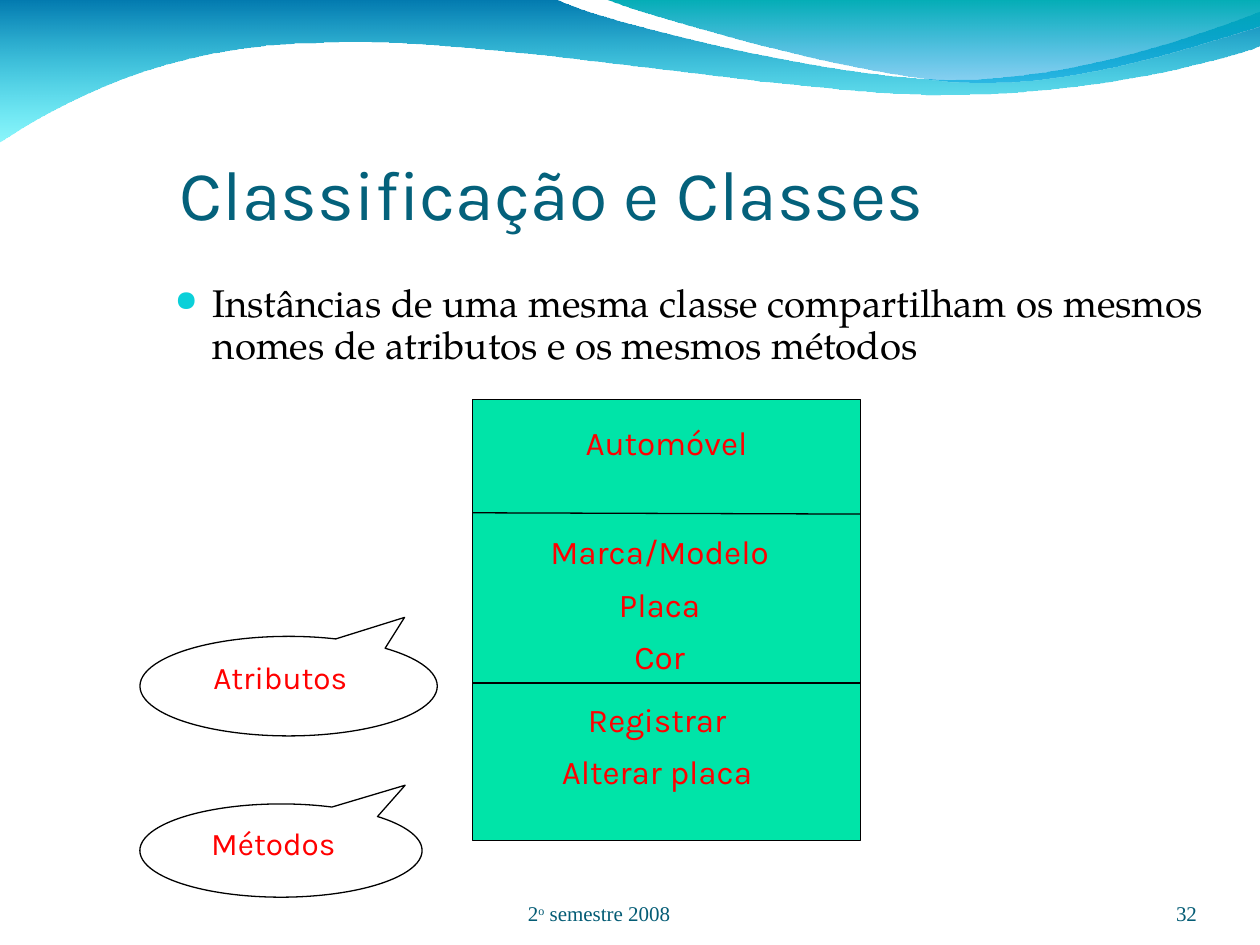
from lxml import etree
from pptx import Presentation
from pptx.dml.color import RGBColor
from pptx.enum.shapes import MSO_CONNECTOR as Connector, MSO_SHAPE as Shape
from pptx.enum.text import MSO_ANCHOR as Anchor, MSO_AUTO_SIZE as AutoSize, PP_ALIGN as Align
from pptx.oxml.ns import qn
from pptx.util import Inches, Pt

TITLE = "Classificação e Classes"
STATEMENT = ("Instâncias de uma mesma classe compartilham os mesmos "
             "nomes de atributos e os mesmos métodos")
FOOTER = [("2", 0), ("o", 30000), (" semestre 2008", 0)]
PAGE = "32"
CLASS_BOX = (3.75, 3.17, 3.08, 3.5)
DIVIDERS = [(4.07, 4.08), (5.42, 5.42)]
ROW_HEIGHT = 5 / 12
COMPARTMENTS = [
    (4.26, 3.3, 2.06, ["Automóvel"]),
    (3.95, 4.17, 2.57, ["Marca/Modelo", "Placa", "Cor"]),
    (3.93, 5.5, 2.57, ["Registrar", "Alterar placa"]),
]
CALLOUTS = [
    ("Métodos", (1.11, 6.38, 2.24, 0.74), (-0.44, 0.7), (1.51, 6.49, 1.32, 0.4), True),
    ("Atributos", (1.11, 5.05, 2.36, 0.79), (-0.39, 0.69), (1.53, 5.17, 1.39, 0.4), False),
]
WAVES = [
    ("0079AF", "00EBF8", (0, -0.01), [
        [(4.4, -0.01)],
        [(4.76, 0.17), (6.64, 0.63), (7.58, 0.63)],
        [(8.53, 0.63), (9.58, 0.26), (10, 0.09)],
        [(10.01, 0.36)],
        [(9.83, 0.44), (8.7, 0.76), (7.46, 0.75)],
        [(6.22, 0.75), (3.82, 0.28), (2.57, 0.34)],
        [(1.29, 0.35), (0.46, 0.83), (-0.01, 1.13)],
    ]),
    ("00ADB6", "009BE5", (4.79, -0.01), [
        [(5.09, 0.11), (6.82, 0.62), (7.69, 0.65)],
        [(8.56, 0.69), (9.61, 0.32), (10, 0.21)],
        [(10, 0)],
    ]),
]

prs = Presentation()
prs.slide_width, prs.slide_height = Inches(10), Inches(7.5)
slide = prs.slides.add_slide(prs.slide_layouts[6])
shapes = slide.shapes


def color(hex_code):
    return RGBColor.from_string(hex_code)


def inches(values):
    return [Inches(value) for value in values]


def outline(shape):
    shape.line.color.rgb = color("000000")
    shape.line.width = Pt(0.75)


def add_bullet(paragraph, hex_code, indent):
    props = paragraph._p.get_or_add_pPr()
    props.set("marL", str(Inches(indent)))
    props.set("indent", str(-Inches(indent)))
    bullet_color = etree.SubElement(props, qn("a:buClr"))
    etree.SubElement(bullet_color, qn("a:srgbClr"), val=hex_code)
    etree.SubElement(props, qn("a:buSzPct"), val="75000")
    etree.SubElement(props, qn("a:buChar"), char="●")


def add_text(text, box, size=19, font="Karla", ink="FF0000", align=Align.CENTER,
             anchor=Anchor.TOP, margins=(0.1, 0.05), bullet=None, spacing=None, grow=False):
    textbox = shapes.add_textbox(*inches(box))
    frame = textbox.text_frame
    frame.word_wrap = True
    frame.vertical_anchor = anchor
    frame.margin_left = frame.margin_right = Inches(margins[0])
    frame.margin_top = frame.margin_bottom = Inches(margins[1])
    if grow:
        frame.auto_size = AutoSize.SHAPE_TO_FIT_TEXT
    paragraph = frame.paragraphs[0]
    paragraph.alignment = align
    if spacing:
        paragraph.line_spacing = spacing
    if bullet:
        add_bullet(paragraph, bullet, 0.3)
    for content, baseline in [(text, 0)] if isinstance(text, str) else text:
        run = paragraph.add_run()
        run.text = content
        run.font.size = Pt(size)
        run.font.name = font
        run.font.color.rgb = color(ink)
        if baseline:
            run.font._element.set("baseline", str(baseline))
    return textbox


def bend(outline_shape, segments):
    corners = iter(outline_shape._element.findall(".//" + qn("a:lnTo")))
    for segment in segments:
        steps = [next(corners) for _ in segment]
        if len(segment) == 3:
            steps[0].tag = qn("a:cubicBezTo")
            for step in steps[1:]:
                steps[0].append(step[0])
                step.getparent().remove(step)


def curved_outline(start, segments):
    builder = shapes.build_freeform(*inches(start))
    builder.add_line_segments([inches(point) for segment in segments for point in segment])
    shape = builder.convert_to_shape()
    drawn = shape._element.find(".//" + qn("a:pathLst"))[0]
    points = list(drawn)
    for segment in segments:
        pass
    return shape


def add_wave(top, bottom, start, segments):
    builder = shapes.build_freeform(*inches(start))
    builder.add_line_segments([inches(point) for segment in segments for point in segment])
    wave = builder.convert_to_shape()
    bend(wave, segments)
    wave.shadow.inherit = False
    wave.line.fill.background()
    wave.fill.gradient()
    wave.fill.gradient_angle = 270
    for stop, hex_code, position in zip(wave.fill.gradient_stops, (top, bottom), (0, 1)):
        stop.color.rgb = color(hex_code)
        stop.position = position
    last_color = wave._element.spPr.findall(".//" + qn("a:srgbClr"))[-1]
    etree.SubElement(last_color, qn("a:alpha"), val="45000")


def add_outlined(kind, box, fill):
    shape = shapes.add_shape(kind, *inches(box))
    shape.shadow.inherit = False
    shape.fill.solid()
    shape.fill.fore_color.rgb = color(fill)
    outline(shape)
    return shape


for wave_parts in WAVES:
    add_wave(*wave_parts)

add_text(STATEMENT, (1.29, 2.21, 8.5, 1.17), size=22, font="TeX Gyre Pagella",
         ink="000000", align=Align.LEFT, bullet="0BD0D9", spacing=0.9)
for text, box, align in [(FOOTER, (2.92, 6.95, 3.67, 0.4), Align.CENTER),
                         (PAGE, (8.67, 6.95, 0.83, 0.4), Align.RIGHT)]:
    add_text(text, box, size=12, font="Times New Roman", ink="045C75",
             align=align, anchor=Anchor.BOTTOM, margins=(0, 0))

add_outlined(Shape.RECTANGLE, CLASS_BOX, "00E4A8")
box_left, _, box_width, _ = CLASS_BOX
for left_y, right_y in DIVIDERS:
    divider = shapes.add_connector(Connector.STRAIGHT,
                                   *inches((box_left, left_y, box_left + box_width, right_y)))
    outline(divider)
    etree.SubElement(divider._element.spPr, qn("a:effectLst"))
for left, top, width, members in COMPARTMENTS:
    for row, member in enumerate(members):
        add_text(member, (left, top + row * ROW_HEIGHT, width, ROW_HEIGHT), grow=True)

for label, bubble_box, tail, label_box, grouped in CALLOUTS:
    bubble = add_outlined(Shape.OVAL_CALLOUT, bubble_box, "FFFFFF")
    bubble.rotation = 180
    bubble.adjustments[0], bubble.adjustments[1] = tail
    caption = add_text(label, label_box, size=18, grow=True)
    if grouped:
        shapes.add_group_shape([bubble, caption])

add_text(TITLE, (1.33, 0.66, 8.52, 1.25), size=40, ink="04617B",
         align=Align.LEFT, anchor=Anchor.BOTTOM)

prs.save("out.pptx")
